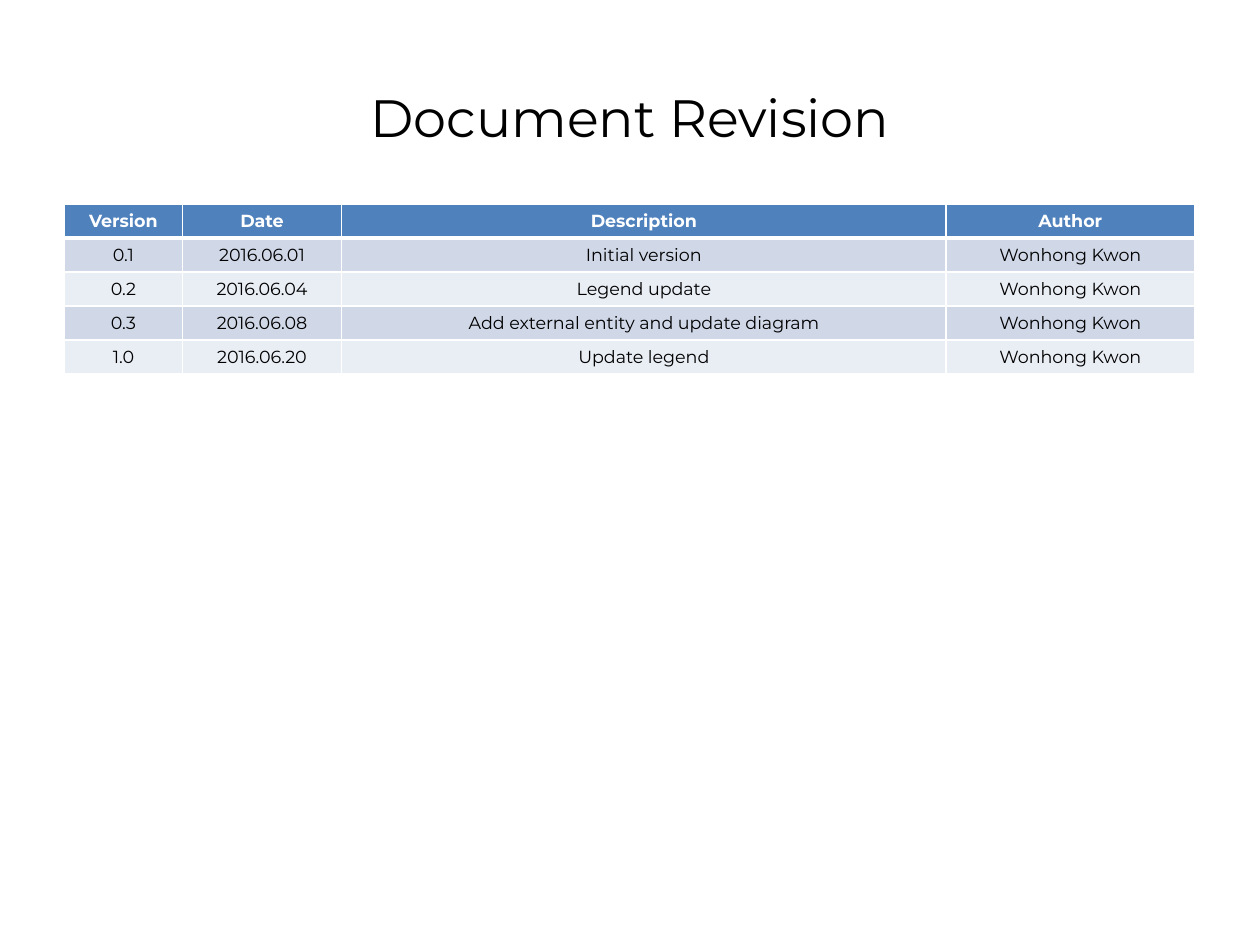
from dataclasses import dataclass

import pptx
import pptx.dml.color
import pptx.enum.text
import pptx.oxml
import pptx.oxml.ns
import pptx.util
from pptx.util import Inches

FONT = "Montserrat"
BLACK, WHITE = "000000", "FFFFFF"
HEADER_FILL = "4F81BD"
BAND_FILLS = ("D0D8E8", "E9EDF4")
HEADERS = ("Version", "Date", "Description", "Author")
COLUMN_WIDTHS = (0.94, 1.26, 4.8, 1.97)
ROW_HEIGHT = 0.27
AUTHOR = "Wonhong Kwon"


@dataclass(frozen=True)
class Revision:
    """One row of the revision history."""
    version: str
    date: str
    description: str
    author: str = AUTHOR

    def values(self) -> tuple[str, ...]:
        """Return the cell texts in column order."""
        return self.version, self.date, self.description, self.author


REVISIONS = (
    Revision("0.1", "2016.06.01", "Initial version"),
    Revision("0.2", "2016.06.04", "Legend update"),
    Revision("0.3", "2016.06.08", "Add external entity and update diagram"),
    Revision("1.0", "2016.06.20", "Update legend"),
)


def rgb(color: str) -> pptx.dml.color.RGBColor:
    """Turn a hex string into a colour."""
    return pptx.dml.color.RGBColor.from_string(color)


def write_text(tf, text: str, *, size: float, color: str = BLACK, bold: bool = False) -> None:
    """Write one centred paragraph into a text frame."""
    p = tf.paragraphs[0]
    p.alignment = pptx.enum.text.PP_ALIGN.CENTER
    r = p.add_run()
    r.text = text
    r.font.name = FONT
    r.font.size = pptx.util.Pt(size)
    r.font.bold = bold
    r.font.color.rgb = rgb(color)


def set_borders(cell, *, top: float = 1, bottom: float = 1) -> None:
    """Give a cell white borders; widths are in points."""
    tc_pr = cell._tc.get_or_add_tcPr()
    widths = {"lnL": 1, "lnR": 1, "lnT": top, "lnB": bottom}
    for i, (tag, width) in enumerate(widths.items()):
        tc_pr.insert(i, pptx.oxml.parse_xml(
            f'<a:{tag} {pptx.oxml.ns.nsdecls("a")} w="{pptx.util.Pt(width)}">'
            f'<a:solidFill><a:srgbClr val="{WHITE}"/></a:solidFill></a:{tag}>'))


def add_title(slide, text: str) -> None:
    """Add the slide title."""
    box = slide.shapes.add_textbox(Inches(0.5), Inches(0.3), Inches(9), Inches(1.25))
    tf = box.text_frame
    tf.word_wrap = True
    tf.vertical_anchor = pptx.enum.text.MSO_ANCHOR.MIDDLE
    write_text(tf, text, size=30)


def add_revision_table(slide) -> None:
    """Add the table with a header row and banded revisions."""
    rows = [HEADERS] + [revision.values() for revision in REVISIONS]
    table = slide.shapes.add_table(
        len(rows), len(HEADERS), Inches(0.51), Inches(1.62),
        Inches(sum(COLUMN_WIDTHS)), Inches(ROW_HEIGHT * len(rows))).table
    for column, width in zip(table.columns, COLUMN_WIDTHS):
        column.width = Inches(width)
    for i, values in enumerate(rows):
        table.rows[i].height = Inches(ROW_HEIGHT)
        header = i == 0
        for j, text in enumerate(values):
            cell = table.cell(i, j)
            cell.fill.solid()
            cell.fill.fore_color.rgb = rgb(HEADER_FILL if header else BAND_FILLS[(i - 1) % 2])
            set_borders(cell, top=3 if i == 1 else 1, bottom=3 if header else 1)
            write_text(cell.text_frame, text, size=10,
                       color=WHITE if header else BLACK, bold=header)


def main() -> None:
    """Build and save the slide."""
    prs = pptx.Presentation()
    prs.slide_width, prs.slide_height = Inches(10), Inches(7.5)
    s = prs.slides.add_slide(prs.slide_layouts[6])
    add_title(s, "Document Revision")
    add_revision_table(s)
    prs.save("out.pptx")


main()
